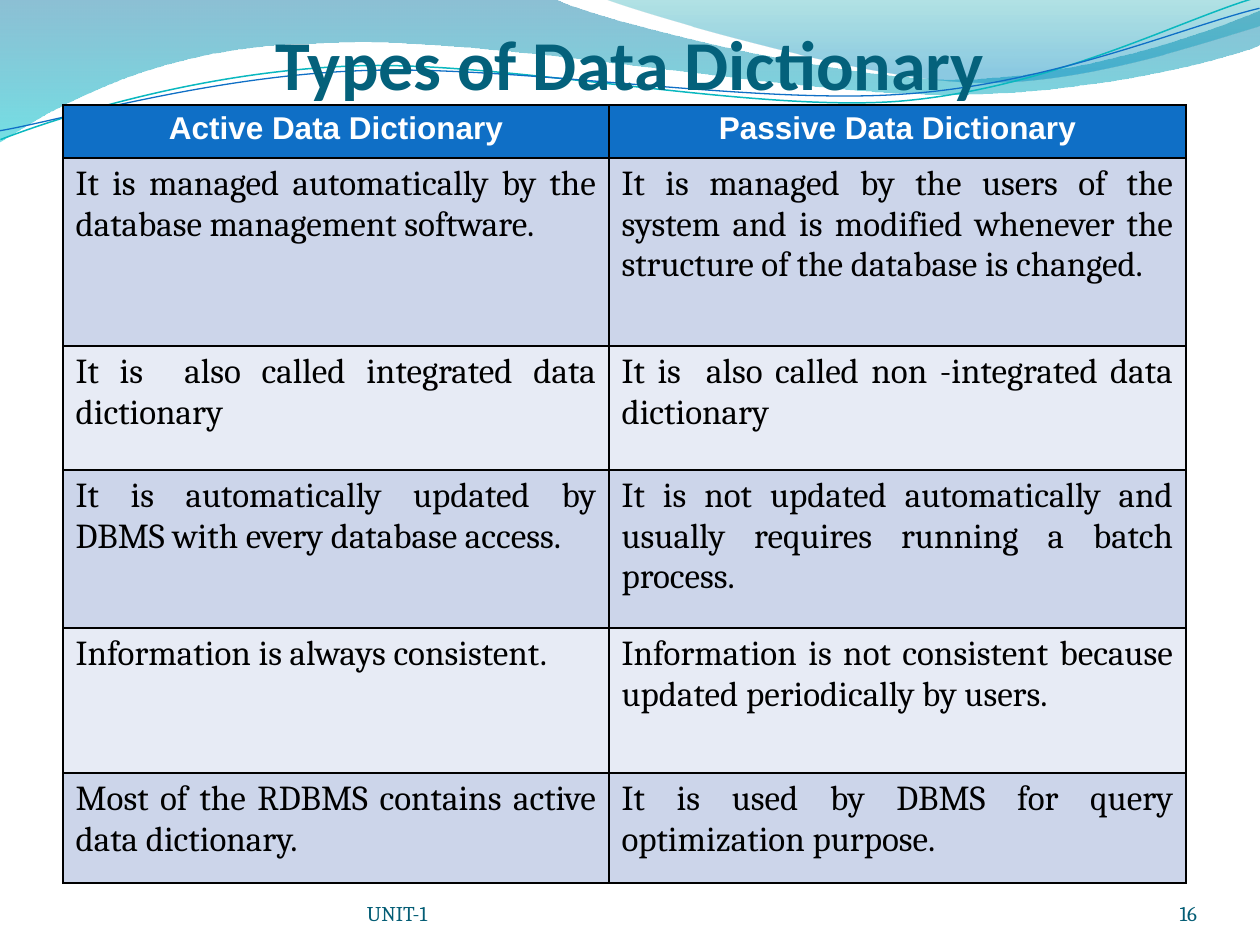
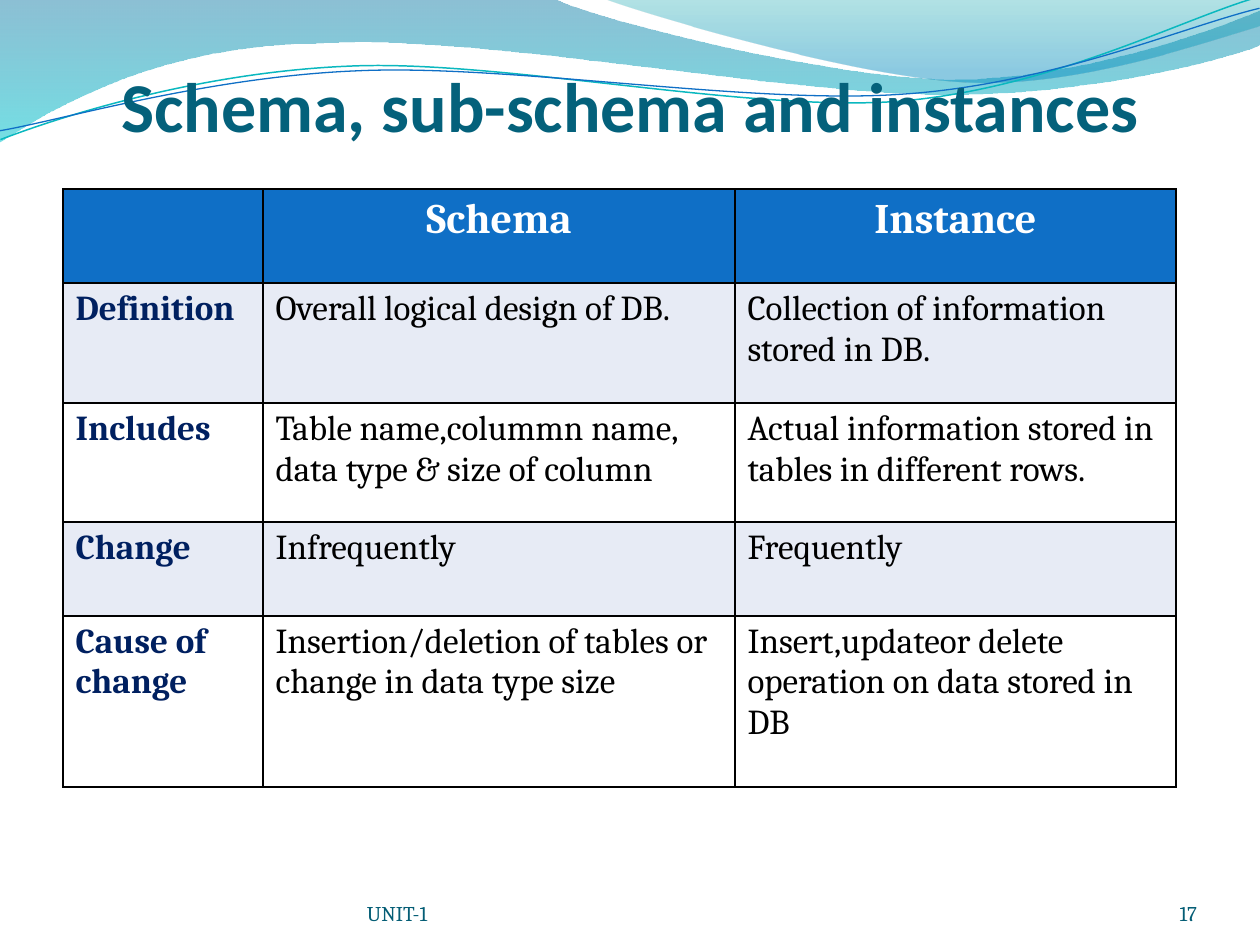
from collections import namedtuple

import lxml.etree
import pptx
import pptx.dml.color
import pptx.enum.text
import pptx.oxml.ns
import pptx.util

RGBColor = pptx.dml.color.RGBColor
Align = pptx.enum.text.PP_ALIGN
qn = pptx.oxml.ns.qn

EMU_PER_PX = 914400 / 126

WHITE = RGBColor(0xFF, 0xFF, 0xFF)
BLACK = RGBColor(0x00, 0x00, 0x00)
TITLE_TEAL = RGBColor(0x04, 0x61, 0x7B)
FOOTER_TEAL = RGBColor(0x04, 0x5D, 0x75)
HEADER_BLUE = RGBColor(0x0F, 0x6F, 0xC6)
LABEL_NAVY = RGBColor(0x00, 0x20, 0x60)
BAND_DARK = RGBColor(0xCC, 0xD5, 0xEA)
BAND_LIGHT = RGBColor(0xE7, 0xEB, 0xF5)
LINE_TEAL = RGBColor(0x0A, 0xB8, 0xBF)
WAVE_BLUE = RGBColor(0x00, 0x74, 0xA1)
WAVE_CYAN = RGBColor(0x00, 0xC6, 0xCF)
CREST_TEAL = RGBColor(0x00, 0xA1, 0xA9)
CREST_BLUE = RGBColor(0x00, 0x8B, 0xBF)

Box = namedtuple("Box", "left top width height")
TextStyle = namedtuple("TextStyle", "font size color bold align")
GradientStop = namedtuple("GradientStop", "position color opacity")

SLIDE_BOX = Box(0, 0, 1260, 945)
FOOTER_BOX = Box(367, 876, 830, 50)

TITLE_STYLE = TextStyle("Calibri", 40, TITLE_TEAL, True, Align.CENTER)
FOOTER_STYLE = TextStyle("Cambria", 12, FOOTER_TEAL, False, Align.LEFT)
BODY_STYLE = TextStyle("Cambria", 20, BLACK, False, Align.LEFT)

# Each part of an outline is one point (a corner) or three (a Bezier segment).
WAVE = [
    [(0, -1)], [(554, -1)],
    [(600, 21), (837, 79), (955, 79)],
    [(1075, 79), (1207, 33), (1260, 11)],
    [(1261, 45)],
    [(1239, 55), (1096, 96), (940, 94)],
    [(784, 94), (481, 35), (324, 43)],
    [(161, 44), (58, 105), (-1, 142)],
]
CREST = [
    [(604, -1)],
    [(642, 14), (859, 78), (969, 82)],
    [(1079, 87), (1211, 40), (1260, 26)],
    [(1260, 0)],
]
CURVE_ROTATION = -2.7
TEAL_CURVE = [
    [(-2, 110)],
    [(58, 90), (199, 52), (350, 53)],
    [(499, 53), (745, 118), (896, 114)],
    [(1049, 109), (1184, 45), (1260, 27)],
]
BLUE_CURVE = [
    [(-2, 101)],
    [(57, 94), (207, 57), (357, 58)],
    [(509, 58), (750, 111), (902, 107)],
    [(1052, 104), (1188, 52), (1262, 38)],
]

DICTIONARY_ROWS = [
    ("Active Data Dictionary", "Passive Data Dictionary"),
    ("It is managed automatically by the database management software.",
     "It is managed by the users of the system and is modified whenever the "
     "structure of the database is changed."),
    ("It is  also called integrated data dictionary",
     "It is  also called non -integrated data dictionary"),
    ("It is automatically updated by DBMS with every database access.",
     "It is not updated automatically and usually requires running a batch process."),
    ("Information is always consistent.",
     "Information is not consistent because updated periodically by users."),
    ("Most of the RDBMS contains active data dictionary.",
     "It is used by DBMS for query optimization purpose."),
]
SCHEMA_ROWS = [
    ("", "Schema", "Instance"),
    ("Definition", "Overall logical design of DB.",
     "Collection of information stored in DB."),
    ("Includes", "Table name,colummn name, data type & size of column",
     "Actual information stored in tables in different rows."),
    ("Change", "Infrequently", "Frequently"),
    ("Cause of change", "Insertion/deletion of tables or change in data type size",
     "Insert,updateor delete operation on data stored in DB"),
]


def px(length):
    return pptx.util.Emu(round(length * EMU_PER_PX))


def write_text(text_frame, text, style):
    paragraph = text_frame.paragraphs[0]
    paragraph.alignment = style.align
    run = paragraph.add_run()
    run.text = text
    run.font.name = style.font
    run.font.size = pptx.util.Pt(style.size)
    run.font.bold = style.bold
    run.font.color.rgb = style.color


def add_bottom_text(slide, box, text, style, top_inset=0):
    """Add a text box whose text rests on its lower edge."""
    text_frame = slide.shapes.add_textbox(*map(px, box)).text_frame
    text_frame.word_wrap = True
    text_frame.vertical_anchor = pptx.enum.text.MSO_ANCHOR.BOTTOM
    text_frame.margin_left = text_frame.margin_right = text_frame.margin_bottom = 0
    text_frame.margin_top = px(top_inset)
    write_text(text_frame, text, style)


def add_outline(slide, box, outline, close):
    """Draw a freeform through all points, then join each triple into a Bezier segment."""
    points = [(px(box.left + x), px(box.top + y)) for part in outline for x, y in part]
    builder = slide.shapes.build_freeform(*points[0])
    builder.add_line_segments(points[1:], close=close)
    shape = builder.convert_to_shape()
    shape.shadow.inherit = False
    segments = iter(list(shape._element.iter(qn("a:lnTo"))))
    for part in outline[1:]:
        first, *others = [next(segments) for _ in part]
        if others:
            curve = lxml.etree.Element(qn("a:cubicBezTo"))
            first.addprevious(curve)
            for segment in (first, *others):
                curve.append(segment[0])
                segment.getparent().remove(segment)
    return shape


def add_gradient_wave(slide, box, outline, stops):
    shape = add_outline(slide, box, outline, close=True)
    shape.line.fill.background()
    shape.fill.gradient()
    shape.fill.gradient_angle = 270
    for gradient_stop, stop in zip(shape.fill.gradient_stops, stops):
        gradient_stop.position = stop.position
        gradient_stop.color.rgb = stop.color
    for color, stop in zip(shape._element.spPr.iter(qn("a:srgbClr")), stops):
        alpha = lxml.etree.SubElement(color, qn("a:alpha"))
        alpha.set("val", str(stop.opacity * 1000))


def add_curve(slide, box, outline, color, width):
    shape = add_outline(slide, box, outline, close=False)
    shape.rotation = CURVE_ROTATION
    shape.fill.background()
    shape.line.color.rgb = color
    shape.line.width = pptx.util.Pt(width)


def add_wave_band(slide, box):
    add_gradient_wave(slide, box, WAVE, (
        GradientStop(0, WAVE_BLUE, 45), GradientStop(1, WAVE_CYAN, 55)))
    add_gradient_wave(slide, box, CREST, (
        GradientStop(0, CREST_TEAL, 30), GradientStop(0.8, CREST_BLUE, 45)))
    add_curve(slide, box, TEAL_CURVE, LINE_TEAL, 0.85)
    add_curve(slide, box, BLUE_CURVE, HEADER_BLUE, 0.75)


def add_footer(slide, box, number):
    number_width = 105
    add_bottom_text(slide, box._replace(width=462), "UNIT-1", FOOTER_STYLE)
    number_box = box._replace(left=box.left + box.width - number_width, width=number_width)
    add_bottom_text(slide, number_box, str(number), FOOTER_STYLE._replace(align=Align.RIGHT))


def set_cell_borders(cell):
    properties = cell._tc.get_or_add_tcPr()
    for index, side in enumerate(("a:lnL", "a:lnR", "a:lnT", "a:lnB")):
        line = lxml.etree.Element(qn(side), w=str(pptx.util.Pt(1)))
        fill = lxml.etree.SubElement(line, qn("a:solidFill"))
        lxml.etree.SubElement(fill, qn("a:srgbClr"), val=str(BLACK))
        properties.insert(index, line)


def add_comparison_table(slide, box, rows, column_widths, row_heights, bands,
                         header_style, column_styles):
    """Add a table with a blue header and rows that alternate between two bands."""
    table = slide.shapes.add_table(len(rows), len(column_widths), *map(px, box)).table
    table.horz_banding = False
    for column, width in zip(table.columns, column_widths):
        column.width = px(width)
    for row, height in zip(table.rows, row_heights):
        row.height = px(height)
    for row_index, texts in enumerate(rows):
        is_header = row_index == 0
        for column_index, text in enumerate(texts):
            cell = table.cell(row_index, column_index)
            cell.fill.solid()
            cell.fill.fore_color.rgb = HEADER_BLUE if is_header else bands[(row_index - 1) % 2]
            set_cell_borders(cell)
            if text:
                style = header_style if is_header else column_styles[column_index]
                write_text(cell.text_frame, text, style)


def add_table_slide(presentation, number, title, title_box, table_origin, rows,
                    column_widths, row_heights, bands, header_style, column_styles):
    slide = presentation.slides.add_slide(presentation.slide_layouts[6])
    add_wave_band(slide, SLIDE_BOX)
    add_bottom_text(slide, title_box, title, TITLE_STYLE, top_inset=6)
    add_footer(slide, FOOTER_BOX, number)
    table_box = Box(*table_origin, sum(column_widths), sum(row_heights))
    add_comparison_table(slide, table_box, rows, column_widths, row_heights, bands,
                         header_style, column_styles)


def main():
    presentation = pptx.Presentation()
    presentation.slide_width = px(SLIDE_BOX.width)
    presentation.slide_height = px(SLIDE_BOX.height)
    add_table_slide(
        presentation, 16, "Types of Data Dictionary", Box(63, 21, 1134, 84),
        table_origin=(63, 105), rows=DICTIONARY_ROWS,
        column_widths=(546, 577), row_heights=(53, 188, 124, 158, 145, 110),
        bands=(BAND_DARK, BAND_LIGHT),
        header_style=TextStyle("Arial", 18, WHITE, True, Align.CENTER),
        column_styles=[BODY_STYLE._replace(align=Align.JUSTIFY)] * 2)
    add_table_slide(
        presentation, 17, "Schema, sub-schema and instances", Box(63, 53, 1134, 94),
        table_origin=(63, 189), rows=SCHEMA_ROWS,
        column_widths=(200, 472, 441), row_heights=(94, 120, 119, 94, 171),
        bands=(BAND_LIGHT, WHITE),
        header_style=TextStyle("Cambria", 24, WHITE, True, Align.CENTER),
        column_styles=[BODY_STYLE._replace(color=LABEL_NAVY, bold=True),
                       BODY_STYLE, BODY_STYLE])
    presentation.save("out.pptx")


if __name__ == "__main__":
    main()
